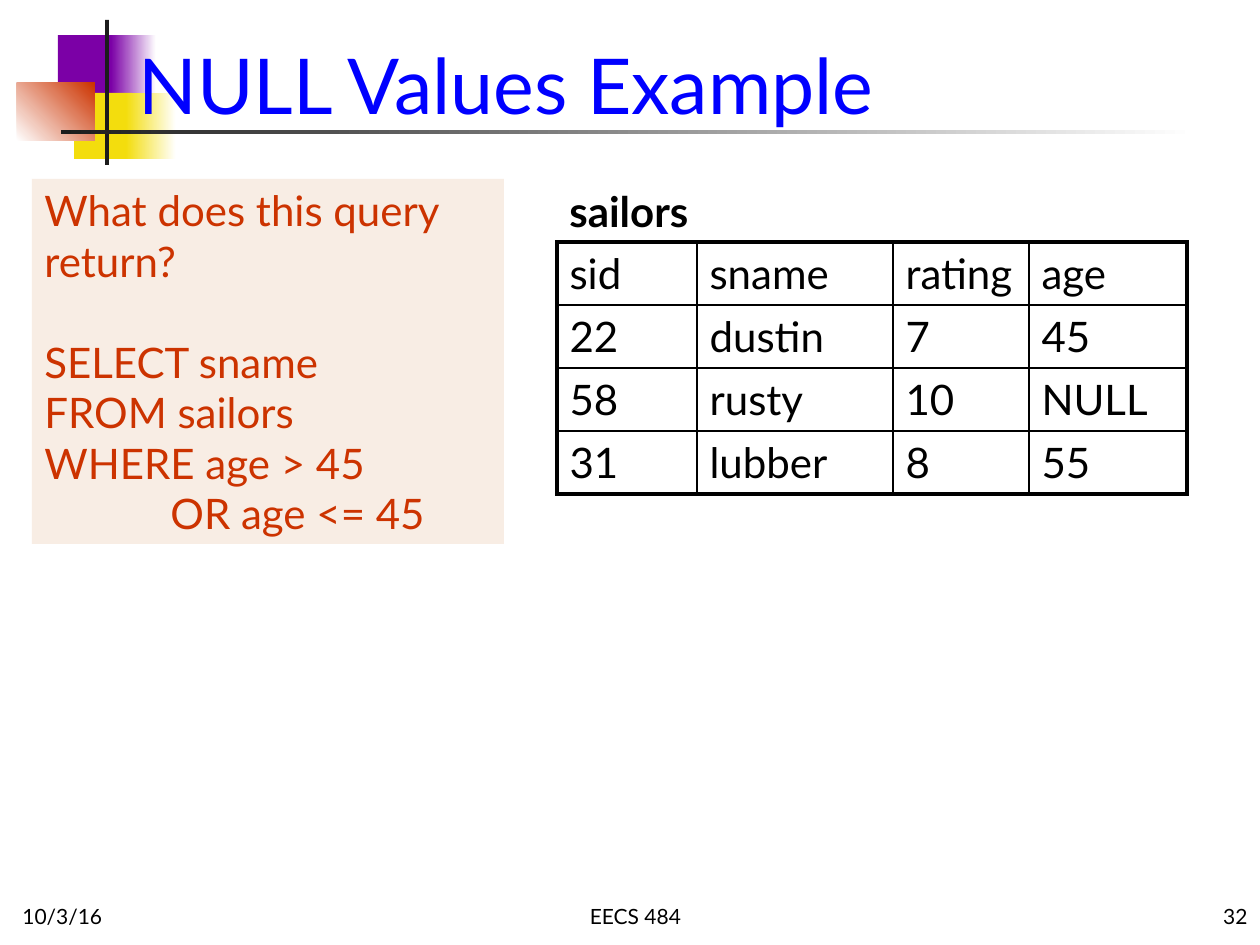
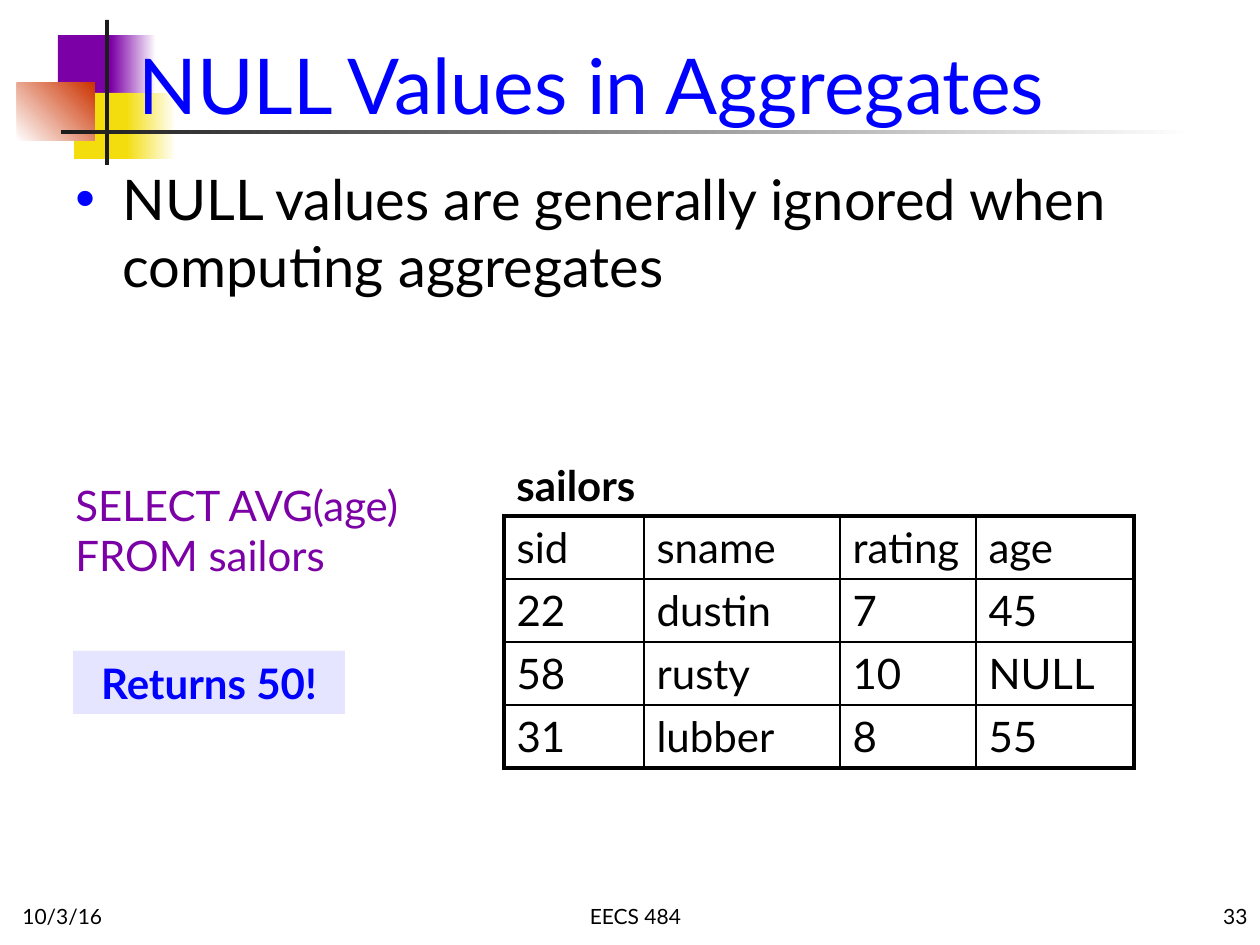
from lxml.etree import SubElement
from pptx import Presentation
from pptx.dml.color import RGBColor
from pptx.enum.shapes import MSO_SHAPE
from pptx.enum.text import MSO_ANCHOR, PP_ALIGN
from pptx.oxml import parse_xml
from pptx.oxml.ns import nsdecls, qn
from pptx.util import Pt

PX = 914400 / 126
FONT = "Lato"
BLACK = RGBColor(0x00, 0x00, 0x00)
WHITE = RGBColor(0xFF, 0xFF, 0xFF)
INK = RGBColor(0x1C, 0x1C, 0x1C)
BLUE = RGBColor(0x00, 0x00, 0xFF)
PURPLE = RGBColor(0x7B, 0x00, 0xA6)
YELLOW = RGBColor(0xF3, 0xDD, 0x0D)
RUST = RGBColor(0xCC, 0x33, 0x00)
SAND = RGBColor(0xF2, 0xDD, 0xCA)
LILAC = RGBColor(0xCC, 0xCC, 0xFF)

TITLE_BOX = (126, -21, 1113, 157)
FOOTER_TOP, FOOTER_HEIGHT = 872, 63
MOTIF = [  # box, first colour, second colour or None, angle
    ((58, 35, 60, 59), PURPLE, None, 0),
    ((111, 35, 45, 59), PURPLE, WHITE, 0),
    ((74, 93, 58, 66), YELLOW, None, 0),
    ((126, 93, 50, 66), YELLOW, WHITE, 0),
    ((17, 83, 78, 58), WHITE, RUST, 45),
    ((105, 20, 4, 145), INK, None, 0),
    ((61, 130, 1134, 4), INK, WHITE, 0),
]

SAILORS = [
    ("sid", "sname", "rating", "age"),
    ("22", "dustin", "7", "45"),
    ("58", "rusty", "10", "NULL"),
    ("31", "lubber", "8", "55"),
]
COLUMN_WIDTHS = (140, 196, 136, 158)
ROW_HEIGHT = 63
CAPTION_WIDTH = 242


def px(n):
    return round(n * PX)


def emu(box):
    return [px(n) for n in box]


def write(tf, *lines, size=24, color=BLACK, bold=False, align=PP_ALIGN.LEFT,
          anchor=MSO_ANCHOR.TOP, wrap=True):
    """Fill a text frame with one paragraph per line and return the paragraphs."""
    tf.word_wrap = wrap
    tf.vertical_anchor = anchor
    for i, line in enumerate(lines):
        p = tf.paragraphs[0] if i == 0 else tf.add_paragraph()
        p.alignment = align
        r = p.add_run()
        r.text = line
        r.font.name, r.font.size, r.font.bold = FONT, Pt(size), bold
        r.font.color.rgb = color
    return tf.paragraphs


def add_text(s, box, *lines, **style):
    return write(s.shapes.add_textbox(*emu(box)).text_frame, *lines, **style)


def add_block(s, box, color, fade_to=None, angle=0, alpha=None):
    """Add a borderless rectangle, solid or fading; alpha is in percent."""
    sp = s.shapes.add_shape(MSO_SHAPE.RECTANGLE, *emu(box))
    sp.shadow.inherit = False
    sp.line.fill.background()
    if fade_to is None:
        sp.fill.solid()
        sp.fill.fore_color.rgb = color
    else:
        sp.fill.gradient()
        sp.fill.gradient_angle = angle
        for stop, rgb in zip(sp.fill.gradient_stops, (color, fade_to)):
            stop.color.rgb = rgb
    if alpha is not None:
        srgb = next(sp.element.spPr.iter(qn("a:srgbClr")))
        SubElement(srgb, qn("a:alpha"), val=str(alpha * 1000))
    return sp


def add_footers(s, number):
    for left, width, text, align in (
        (10, 262, "10/3/16", PP_ALIGN.LEFT),
        (294, 683, "EECS 484", PP_ALIGN.CENTER),
        (998, 262, str(number), PP_ALIGN.RIGHT),
    ):
        add_text(s, (left, FOOTER_TOP, width, FOOTER_HEIGHT), text,
                 size=12, align=align, anchor=MSO_ANCHOR.BOTTOM)


def add_titled_slide(prs, title, number):
    s = prs.slides.add_slide(prs.slide_layouts[5])
    for box, color, fade_to, angle in MOTIF:
        add_block(s, box, color, fade_to, angle)
    add_footers(s, number)
    sp = s.shapes.title
    sp.left, sp.top, sp.width, sp.height = emu(TITLE_BOX)
    write(sp.text_frame, title, size=44, color=BLUE, anchor=MSO_ANCHOR.BOTTOM)
    s.shapes.element.append(sp.element)  # title in front of the motif
    return s


def set_borders(frame, rows, cols):
    """Draw a heavy outer frame and thin inner rules."""
    for i, tc_pr in enumerate(frame.element.iter(qn("a:tcPr"))):
        row, col = divmod(i, cols)
        outer = {"L": col == 0, "R": col == cols - 1,
                 "T": row == 0, "B": row == rows - 1}
        for k, (side, heavy) in enumerate(outer.items()):
            width = Pt(2.25 if heavy else 1)
            tc_pr.insert(k, parse_xml(
                f'<a:ln{side} {nsdecls("a")} w="{width}"><a:solidFill>'
                f'<a:srgbClr val="{BLACK}"/></a:solidFill></a:ln{side}>'))


def add_sailors(s, left, top):
    """Add the captioned sailors table with its caption at left, top."""
    rows, cols = len(SAILORS), len(COLUMN_WIDTHS)
    frame = s.shapes.add_table(rows, cols, *emu(
        (left, top + ROW_HEIGHT, sum(COLUMN_WIDTHS), rows * ROW_HEIGHT)))
    table = frame.table
    table.first_row = table.horz_banding = False
    for column, width in zip(table.columns, COLUMN_WIDTHS):
        column.width = px(width)
    for row, values in zip(table.rows, SAILORS):
        row.height = px(ROW_HEIGHT)
        for cell, value in zip(row.cells, values):
            cell.fill.background()
            write(cell.text_frame, value)
    set_borders(frame, rows, cols)
    add_text(s, (left, top, CAPTION_WIDTH, ROW_HEIGHT), "sailors", bold=True)


def indent(p, left, first=0):
    p_pr = p._p.get_or_add_pPr()
    p_pr.set("marL", str(px(left)))
    p_pr.set("indent", str(px(first)))
    return p_pr


def add_bullet(s, box, text):
    p = add_text(s, box, text, size=32)[0]
    p_pr = indent(p, 47, -47)
    color = SubElement(p_pr, qn("a:buClr"))
    SubElement(color, qn("a:srgbClr"), val=str(BLUE))
    SubElement(p_pr, qn("a:buFont"), typeface="Arial")
    SubElement(p_pr, qn("a:buChar"), char="•")


def build_example(prs):
    s = add_titled_slide(prs, "NULL Values Example", 32)
    add_sailors(s, 557, 179)
    query = add_block(s, (32, 179, 472, 365), SAND, alpha=50)
    lines = write(query.text_frame, "What does this query return?", "SELECT sname",
                  "FROM sailors", "WHERE age > 45", "OR age <= 45",
                  color=RUST, anchor=MSO_ANCHOR.MIDDLE)
    lines[1].space_before = Pt(29)
    indent(lines[-1], 126)


def build_aggregates(prs):
    s = add_titled_slide(prs, "NULL Values in Aggregates", 33)
    add_bullet(s, (63, 158, 1155, 220),
               "NULL values are generally ignored when computing aggregates")
    add_text(s, (63, 473, 358, 113), "SELECT AVG(age)", "FROM sailors",
             color=PURPLE, anchor=MSO_ANCHOR.MIDDLE, wrap=False)
    add_sailors(s, 504, 453)
    answer = add_block(s, (73, 651, 272, 63), LILAC, alpha=50)
    write(answer.text_frame, "Returns 50!", color=BLUE, bold=True,
          align=PP_ALIGN.CENTER, anchor=MSO_ANCHOR.MIDDLE, wrap=False)


def main():
    prs = Presentation()
    prs.slide_width, prs.slide_height = px(1260), px(945)
    build_example(prs)
    build_aggregates(prs)
    prs.save("out.pptx")


if __name__ == "__main__":
    main()
